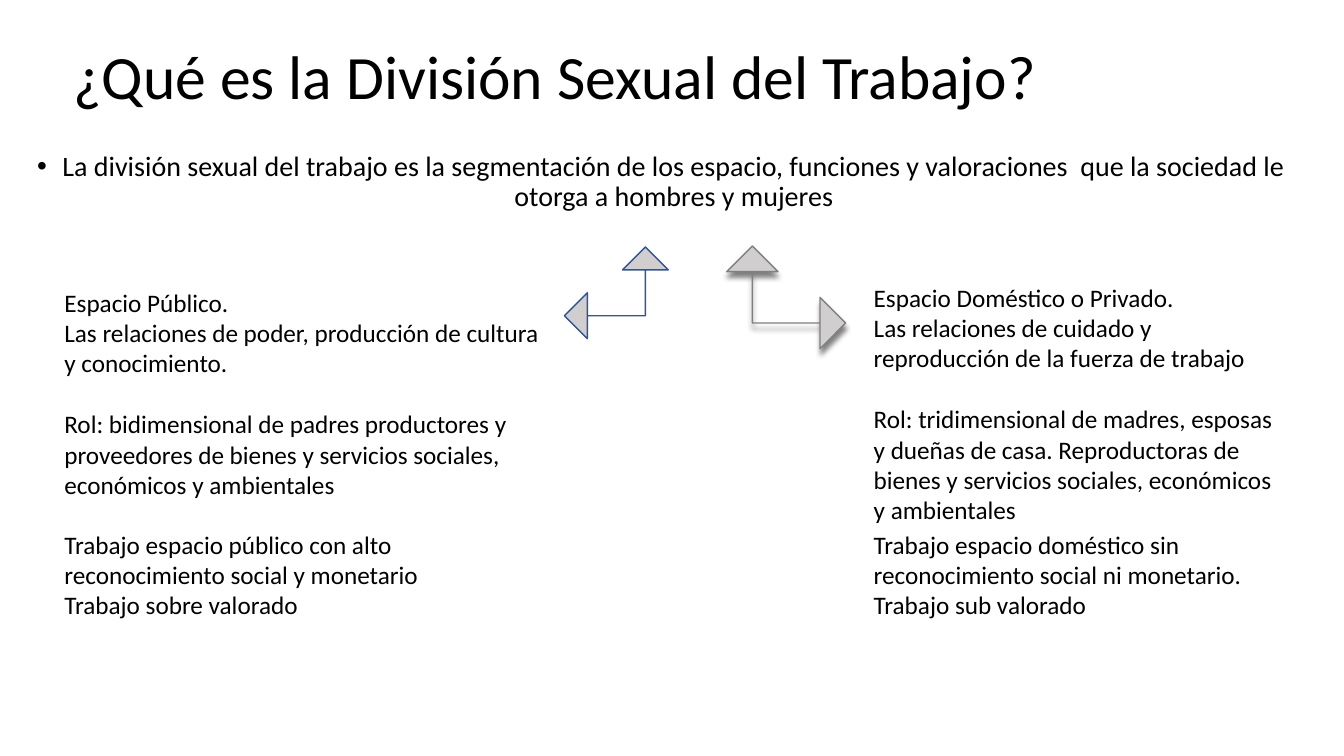
from lxml import etree
from pptx import Presentation
from pptx.dml.color import RGBColor
from pptx.enum.shapes import MSO_SHAPE
from pptx.enum.text import MSO_ANCHOR, PP_ALIGN
from pptx.oxml.ns import qn
from pptx.util import Pt

ARROW = MSO_SHAPE.LEFT_UP_ARROW
MIDDLE, TOP = MSO_ANCHOR.MIDDLE, MSO_ANCHOR.TOP
CENTER, LEFT = PP_ALIGN.CENTER, PP_ALIGN.LEFT
FONT = "Calibri"
BODY_SIZE = 18
LINE_GAP = 22
COLORS = {"text": "000000", "arrow": "D0CECE", "blue": "325491", "gray": "808080"}

PUBLIC_SPACE = [
    ("Espacio Público.", 0),
    ("Las relaciones de poder, producción de cultura y conocimiento.", 0),
    ("Rol: bidimensional de padres productores y proveedores de bienes y "
     "servicios sociales, económicos y ambientales", LINE_GAP),
]
PUBLIC_WORK = [
    ("Trabajo espacio público con alto reconocimiento social y monetario "
     "Trabajo sobre valorado", 0),
]
PRIVATE_SPACE = [
    ("Espacio Doméstico o Privado.", 0),
    ("Las relaciones de cuidado y reproducción de la fuerza de trabajo", 0),
    ("Rol: tridimensional de madres, esposas y dueñas de casa. Reproductoras de "
     "bienes y servicios sociales, económicos y ambientales", LINE_GAP),
]
PRIVATE_WORK = [
    ("Trabajo espacio doméstico sin reconocimiento social ni monetario.", 0),
    ("Trabajo sub valorado", 0),
]


def color(name):
    return RGBColor.from_string(COLORS[name])


def add_text(slide, box, paragraphs, size=BODY_SIZE, align=LEFT, anchor=TOP, spacing=1.0):
    """Place (text, space before) pairs in a box and return their paragraphs."""
    frame = slide.shapes.add_textbox(*map(Pt, box)).text_frame
    frame.word_wrap = True
    frame.vertical_anchor = anchor
    for index, (text, space_before) in enumerate(paragraphs):
        paragraph = frame.add_paragraph() if index else frame.paragraphs[0]
        paragraph.text = text
        paragraph.alignment = align
        paragraph.line_spacing = spacing
        paragraph.space_before = Pt(space_before)
        paragraph.font.name = FONT
        paragraph.font.size = Pt(size)
        paragraph.font.color.rgb = color("text")
    return frame.paragraphs


def add_title(slide, box):
    title = "¿Qué es la División Sexual del Trabajo?"
    add_text(slide, box, [(title, 0)], size=44, anchor=MIDDLE, spacing=0.9)


def add_definition(slide, box):
    definition = ("La división sexual del trabajo es la segmentación de los espacio, "
                  "funciones y valoraciones  que la sociedad le otorga a hombres y mujeres")
    paragraph = add_text(slide, box, [(definition, 10)], size=20, align=CENTER, spacing=0.9)[0]
    properties = paragraph._p.get_or_add_pPr()
    properties.set("marL", str(Pt(18)))
    properties.set("indent", str(Pt(-18)))
    etree.SubElement(properties, qn("a:buFont"), typeface="Arial")
    # The bullet elements must precede the default run properties.
    etree.SubElement(properties, qn("a:buChar"), char="•")
    default_run = properties.find(qn("a:defRPr"))
    if default_run is not None:
        properties.append(default_run)


def add_column(slide, box, space, work, work_top, work_width):
    """Describe a space at the top of the box and its work lower down."""
    left, top, width, height = box
    add_text(slide, box, space)
    add_text(slide, (left, work_top, work_width, top + height - work_top), work)


def add_arrow(slide, box, line, rotation=0):
    arrow = slide.shapes.add_shape(ARROW, *map(Pt, box))
    arrow.rotation = rotation
    for index, value in enumerate((0, 0.25, 0.25)):
        arrow.adjustments[index] = value
    arrow.fill.solid()
    arrow.fill.fore_color.rgb = color("arrow")
    arrow.line.color.rgb = color(line)
    arrow.line.width = Pt(1)
    arrow.shadow.inherit = False
    return arrow


def add_drop_shadow(shape, name):
    effects = shape._element.spPr.find(qn("a:effectLst"))
    shadow = etree.SubElement(effects, qn("a:outerShdw"), blurRad=str(Pt(4)),
                              dist=str(Pt(4)), dir="5400000", rotWithShape="0")
    etree.SubElement(shadow, qn("a:srgbClr"), val=COLORS[name])


def add_division_slide(presentation):
    slide = presentation.slides.add_slide(presentation.slide_layouts[6])
    add_title(slide, (45.36, 4.3, 828, 104.4))
    add_definition(slide, (0, 105.1, 944.6, 59.8))
    add_column(slide, (38.9, 201.6, 361.4, 245.5), PUBLIC_SPACE, PUBLIC_WORK, 374.4, 289.4)
    add_column(slide, (617, 198, 303.8, 249.1), PRIVATE_SPACE, PRIVATE_WORK, 374.4, 301.7)
    add_arrow(slide, (403.2, 176.4, 74.2, 65.5), "blue")
    private_arrow = add_arrow(slide, (524.9, 169.9, 73.4, 85), "gray", rotation=90)
    add_drop_shadow(private_arrow, "gray")


def main():
    presentation = Presentation()
    presentation.slide_width = Pt(960)
    presentation.slide_height = Pt(540)
    add_division_slide(presentation)
    presentation.save("out.pptx")


if __name__ == "__main__":
    main()
